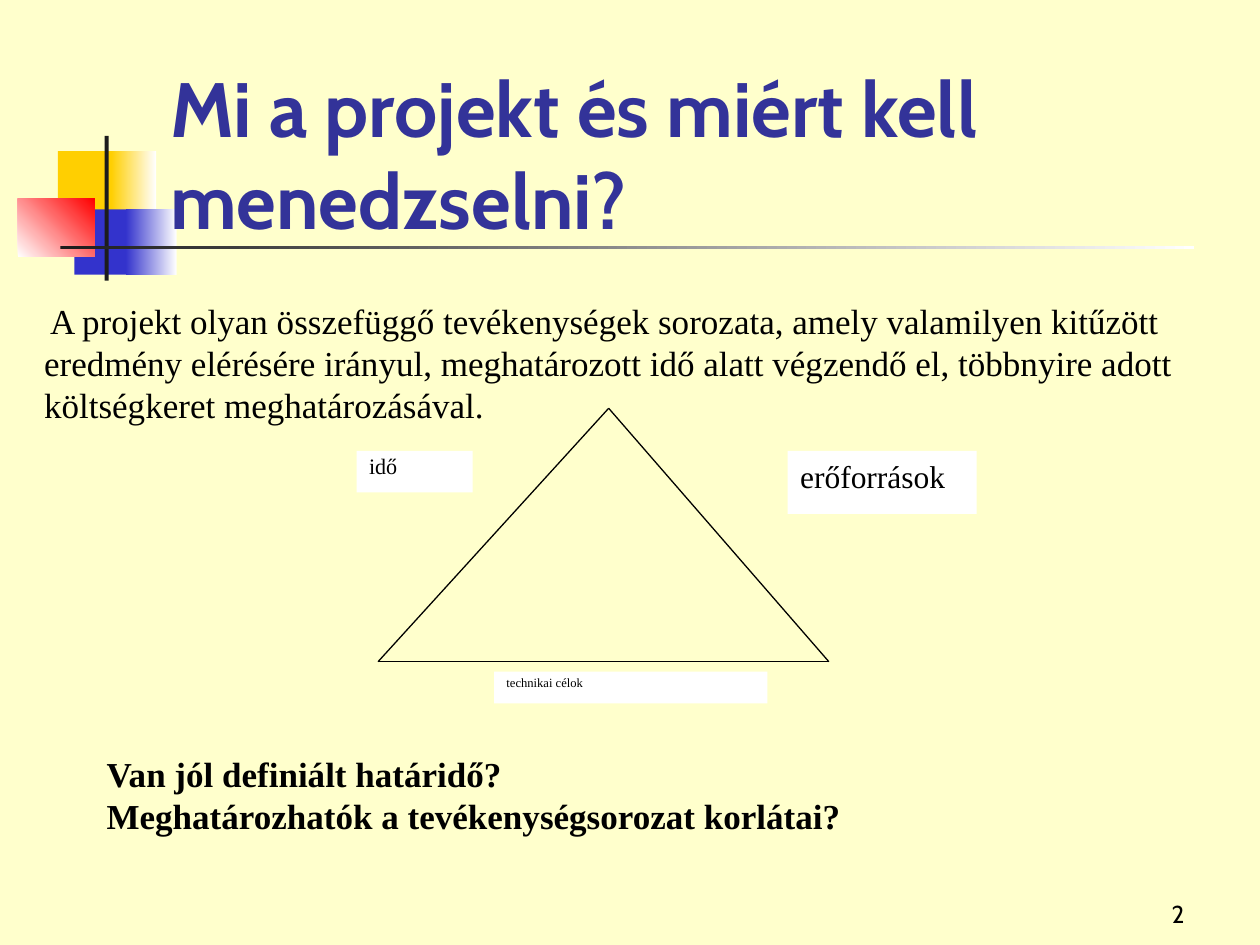
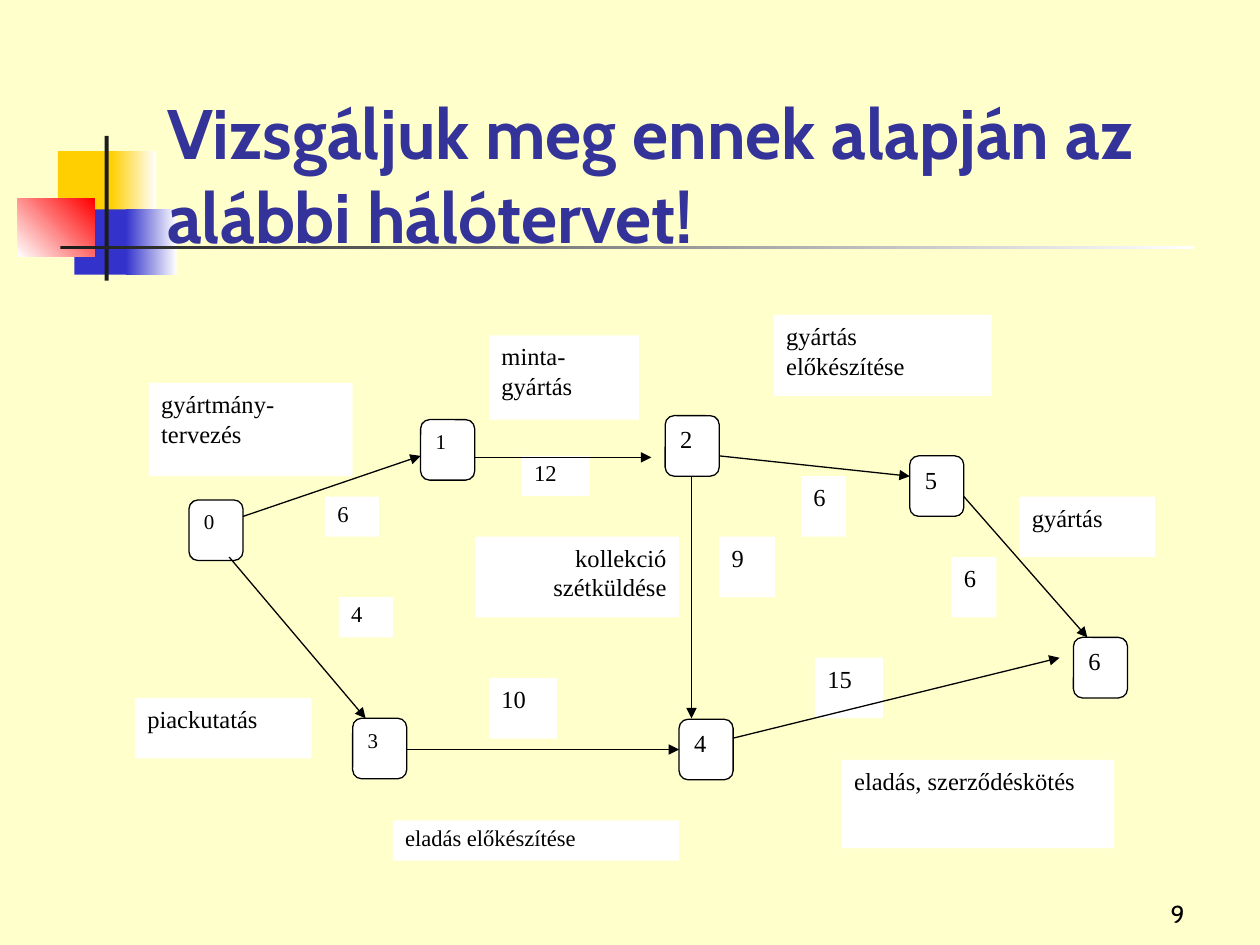
"""Build two project management slides: the project triangle and a network plan."""
from dataclasses import dataclass

import pptx
import pptx.dml.color
import pptx.enum.dml
import pptx.enum.shapes
import pptx.enum.text
import pptx.oxml
import pptx.oxml.ns
import pptx.util

Cm = pptx.util.Cm
Pt = pptx.util.Pt
SHAPE = pptx.enum.shapes.MSO_SHAPE
ALIGN = pptx.enum.text.PP_ALIGN
ANCHOR = pptx.enum.text.MSO_ANCHOR

HUES = {
    "page": "FFFFCC",
    "title": "333399",
    "gold": "FFCF01",
    "blue": "3333CC",
    "red": "FF0000",
    "dark": "1C1C1C",
    "black": "000000",
    "white": "FFFFFF",
}
SANS = "Cabin"
SERIF = "Times New Roman"


@dataclass(frozen=True)
class Box:
    x: float
    y: float
    w: float
    h: float

    def area(self) -> tuple:
        return Cm(self.x), Cm(self.y), Cm(self.w), Cm(self.h)


@dataclass(frozen=True)
class Style:
    size: float
    font: str = SERIF
    hue: str = "black"
    bold: bool = False
    align: ALIGN = ALIGN.LEFT
    anchor: ANCHOR = ANCHOR.TOP
    pitch: float | None = None


@dataclass(frozen=True)
class Block:
    box: Box
    start: str
    end: str | None = None
    angle: int = 0


@dataclass(frozen=True)
class Label:
    text: str
    box: Box
    style: Style


@dataclass(frozen=True)
class Node:
    text: str
    x: float
    y: float
    style: Style


@dataclass(frozen=True)
class Link:
    x1: float
    y1: float
    x2: float
    y2: float
    arrow: bool = True


PLAIN = Style(14)
SMALL = Style(12.9, pitch=0.9)
RIGHT = Style(14, align=ALIGN.RIGHT)
MINOR = Style(12)
BODY = Style(20)
STRONG = Style(20, bold=True)
NUMBER = Style(14, SANS, align=ALIGN.RIGHT, anchor=ANCHOR.BOTTOM)
NODE_W, NODE_H = 1.09, 1.22

BAND = [
    Block(Box(1.17, 3.05, 1.22, 1.32), "gold"),
    Block(Box(2.24, 3.05, 0.91, 1.32), "gold", "white"),
    Block(Box(1.5, 4.22, 1.17, 1.32), "blue"),
    Block(Box(2.54, 4.22, 1.02, 1.32), "blue", "white"),
    Block(Box(0.36, 4.01, 1.55, 1.17), "white", "red", 45),
    Block(Box(2.11, 2.74, 0.08, 2.92), "dark"),
    Block(Box(1.22, 4.95, 22.86, 0.08), "dark", "white"),
]

SIDES = [
    Link(7.62, 13.34, 12.27, 8.23, False),
    Link(12.27, 8.23, 16.71, 13.34, False),
    Link(7.62, 13.34, 16.71, 13.34, False),
]
GOALS = [
    Label("idő", Box(7.19, 9.09, 2.34, 0.84), Style(12.6, pitch=0.8)),
    Label("erőforrások", Box(15.88, 9.09, 3.81, 1.27), Style(18)),
    Label("technikai célok", Box(9.96, 13.54, 5.51, 0.64), Style(7.2, pitch=0.8)),
]

TASKS = [
    Label("gyártmány-tervezés", Box(3, 7.72, 4.11, 1.88), PLAIN),
    Label("minta-gyártás", Box(9.86, 6.76, 3.02, 1.7), PLAIN),
    Label("gyártás előkészítése", Box(15.6, 6.35, 4.39, 1.63), PLAIN),
    Label("gyártás", Box(20.55, 10.01, 2.74, 1.22), PLAIN),
    Label("kollekció szétküldése", Box(9.58, 10.82, 4.11, 1.63), RIGHT),
    Label("piackutatás", Box(2.72, 14.07, 3.56, 1.22), PLAIN),
    Label("eladás előkészítése", Box(7.92, 16.54, 5.77, 0.81), SMALL),
    Label("eladás, szerződéskötés", Box(16.97, 15.32, 5.49, 1.78), PLAIN),
]
TIMES = [
    Label("6", Box(6.55, 10.01, 1.09, 0.81), SMALL),
    Label("4", Box(6.83, 12.04, 1.09, 0.81), SMALL),
    Label("12", Box(10.52, 9.19, 1.37, 0.81), SMALL),
    Label("10", Box(9.86, 13.67, 1.37, 1.22), PLAIN),
    Label("15", Box(16.43, 13.26, 1.37, 1.22), PLAIN),
    Label("9", Box(14.5, 10.82, 1.12, 1.22), PLAIN),
    Label("6", Box(19.18, 11.23, 0.91, 1.22), PLAIN),
    Label("6", Box(16.15, 9.6, 0.91, 1.22), PLAIN),
]
NODES = [
    Node("0", 3.81, 10.08, MINOR),
    Node("1", 8.48, 8.46, MINOR),
    Node("2", 13.41, 8.38, PLAIN),
    Node("3", 7.11, 14.48, MINOR),
    Node("4", 13.69, 14.5, PLAIN),
    Node("5", 18.34, 9.19, PLAIN),
    Node("6", 21.64, 12.85, PLAIN),
]
LINKS = [
    Link(4.9, 10.41, 8.48, 9.19),
    Link(4.62, 11.23, 7.37, 14.48),
    Link(9.58, 9.22, 13.13, 9.22),
    Link(14.5, 9.19, 18.34, 9.6),
    Link(13.94, 9.6, 13.94, 14.48),
    Link(8.2, 15.11, 13.69, 15.11),
    Link(14.78, 14.88, 21.36, 13.26),
    Link(19.43, 10.01, 21.92, 12.85),
]


def rgb(hue: str) -> pptx.dml.color.RGBColor:
    return pptx.dml.color.RGBColor.from_string(HUES[hue])


def write(shape, text: str, style: Style) -> None:
    frame = shape.text_frame
    frame.word_wrap = True
    frame.vertical_anchor = style.anchor
    frame.text = text
    for par in frame.paragraphs:
        par.alignment = style.align
        if style.pitch:
            par.line_spacing = style.pitch
        par.font.size = Pt(style.size)
        par.font.name = style.font
        par.font.bold = style.bold
        par.font.color.rgb = rgb(style.hue)


def add_text(slide, text: str, box: Box, style: Style):
    shape = slide.shapes.add_textbox(*box.area())
    write(shape, text, style)
    return shape


def add_block(slide, block: Block, kind=SHAPE.RECTANGLE):
    shape = slide.shapes.add_shape(kind, *block.box.area())
    shape.shadow.inherit = False
    shape.line.fill.background()
    if block.end is None:
        shape.fill.solid()
        shape.fill.fore_color.rgb = rgb(block.start)
    else:
        shape.fill.gradient()
        shape.fill.gradient_angle = block.angle
        for stop, hue in zip(shape.fill.gradient_stops, (block.start, block.end)):
            stop.color.rgb = rgb(hue)
    return shape


def add_label(slide, label: Label) -> None:
    write(add_block(slide, Block(label.box, "white")), label.text, label.style)


def ink(line) -> None:
    line.color.rgb = rgb("black")
    line.width = Pt(0.75)


def add_node(slide, node: Node) -> None:
    box = Box(node.x, node.y, NODE_W, NODE_H)
    shape = add_block(slide, Block(box, "white"), SHAPE.FLOWCHART_ALTERNATE_PROCESS)
    ink(shape.line)
    write(shape, node.text, node.style)


def add_link(slide, link: Link) -> None:
    ends = [Cm(v) for v in (link.x1, link.y1, link.x2, link.y2)]
    line = slide.shapes.add_connector(pptx.enum.shapes.MSO_CONNECTOR.STRAIGHT, *ends)
    ink(line.line)
    props = line._element.spPr
    if link.arrow:
        head = pptx.oxml.parse_xml(
            f'<a:tailEnd {pptx.oxml.ns.nsdecls("a")} type="triangle"/>')
        line.line._get_or_add_ln().append(head)
    props.append(pptx.oxml.parse_xml(f'<a:effectLst {pptx.oxml.ns.nsdecls("a")}/>'))


def add_slide(deck, title: str, box: Box, size: int, number: str):
    slide = deck.slides.add_slide(deck.slide_layouts[6])
    for block in BAND:
        add_block(slide, block)
    style = Style(size, SANS, "title", True, anchor=ANCHOR.BOTTOM)
    add_text(slide, title, box, style)
    add_text(slide, number, Box(18.85, 17.58, 5.28, 1.27), NUMBER)
    return slide


def add_goals(deck) -> None:
    slide = add_slide(deck, "Mi a projekt és miért kell menedzselni?",
                      Box(3.18, 1.07, 20.96, 3.99), 44, "2")
    body = add_text(
        slide,
        "A projekt olyan összefüggő tevékenységek sorozata, amely valamilyen kitűzött "
        "eredmény elérésére irányul, meghatározott idő alatt végzendő el, többnyire "
        "adott költségkeret meghatározásával.",
        Box(0.64, 5.92, 23.29, 2.7), BODY)
    props = body.text_frame.paragraphs[0]._p.get_or_add_pPr()
    props.set("indent", str(Cm(0.12)))
    for side in SIDES:
        add_link(slide, side)
    for goal in GOALS:
        add_label(slide, goal)
    add_text(slide,
             "Van jól definiált határidő?\nMeghatározhatók a tevékenységsorozat korlátai?",
             Box(1.9, 15.04, 22.66, 2.1), STRONG)


def add_plan(deck) -> None:
    slide = add_slide(deck, "Vizsgáljuk meg ennek alapján az alábbi hálótervet!",
                      Box(3.12, 1.47, 21.64, 3.84), 40, "9")
    for label in TASKS + TIMES:
        add_label(slide, label)
    for node in NODES:
        add_node(slide, node)
    for link in LINKS:
        add_link(slide, link)


def main() -> None:
    deck = pptx.Presentation()
    deck.slide_width, deck.slide_height = Cm(25.4), Cm(19.05)
    page = deck.slide_master.background.fill
    page.solid()
    page.fore_color.rgb = rgb("page")
    add_goals(deck)
    add_plan(deck)
    deck.save("out.pptx")


if __name__ == "__main__":
    main()
